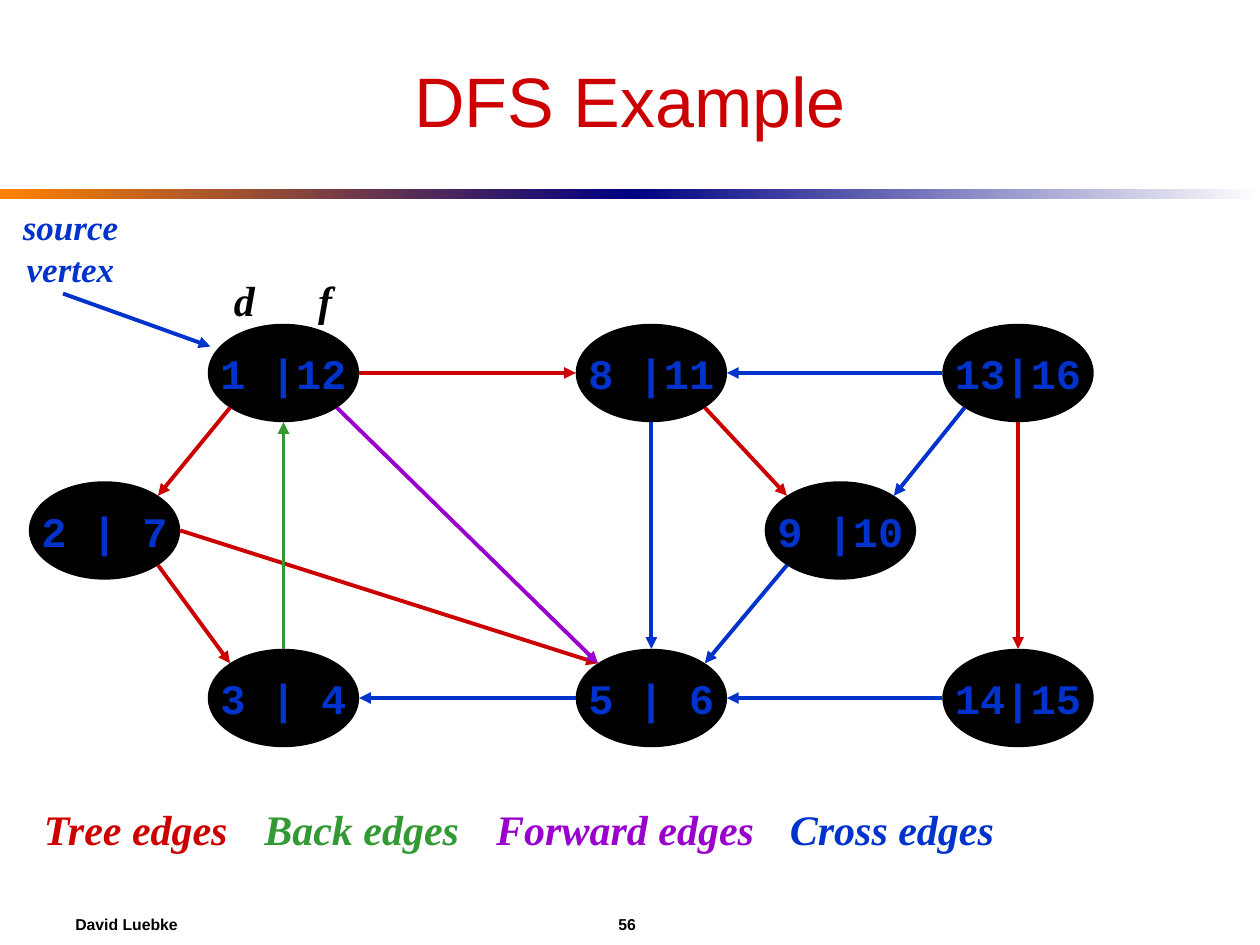
from dataclasses import dataclass
from math import sqrt

from lxml.etree import SubElement
from pptx import Presentation
from pptx.dml.color import RGBColor
from pptx.enum.shapes import MSO_CONNECTOR as Connector, MSO_SHAPE as Preset
from pptx.enum.text import MSO_ANCHOR as Anchor, MSO_AUTO_SIZE as AutoSize, PP_ALIGN as Align
from pptx.oxml.ns import qn
from pptx.slide import Slide
from pptx.text.text import TextFrame
from pptx.util import Inches, Pt

BLACK = RGBColor(0x00, 0x00, 0x00)
WHITE = RGBColor(0xFF, 0xFF, 0xFF)
ORANGE = RGBColor(0xFF, 0x82, 0x00)
NAVY = RGBColor(0x00, 0x00, 0x82)
RED = RGBColor(0xCC, 0x00, 0x00)
GREEN = RGBColor(0x33, 0x99, 0x33)
PURPLE = RGBColor(0x99, 0x00, 0xCC)
BLUE = RGBColor(0x00, 0x33, 0xCC)

NODE_WIDTH, NODE_HEIGHT = 1.17, 0.75
REACH_X, REACH_Y = 0.6, 0.39
DIAGONAL = 1 / sqrt(2)
PORTS = {
    "left": (-1, 0), "right": (1, 0), "top": (0, -1), "bottom": (0, 1),
    "top left": (-DIAGONAL, -DIAGONAL), "top right": (DIAGONAL, -DIAGONAL),
    "bottom left": (-DIAGONAL, DIAGONAL), "bottom right": (DIAGONAL, DIAGONAL),
}


@dataclass(frozen=True)
class Style:
    font: str
    size: int
    color: RGBColor
    bold: bool = True
    italic: bool = False


@dataclass(frozen=True)
class Vertex:
    times: str
    x: float
    y: float

    def port(self, side: str) -> tuple[float, float]:
        across, down = PORTS[side]
        return self.x + across * REACH_X, self.y + down * REACH_Y


@dataclass(frozen=True)
class Edge:
    start: Vertex
    start_side: str
    end: Vertex
    end_side: str
    color: RGBColor


@dataclass(frozen=True)
class Label:
    lines: tuple[str, ...]
    left: float
    top: float
    width: float
    height: float
    style: Style
    align: Align = Align.LEFT
    anchor: Anchor = Anchor.TOP


def serif(size: int, color: RGBColor) -> Style:
    return Style("Times New Roman", size, color, italic=True)


TITLE_STYLE = Style("Arial", 40, RED, bold=False)
FOOTER_STYLE = Style("Arial", 9, BLACK)
TIMES_STYLE = Style("Courier New", 24, BLUE)

FIRST = Vertex("1 |12", 2.25, 2.96)
EIGHTH = Vertex("8 |11", 5.17, 2.96)
LATER = Vertex("13|16", 8.08, 2.96)
LAST = Vertex("14|15", 8.08, 5.54)
FIFTH = Vertex("5 | 6", 5.17, 5.54)
THIRD = Vertex("3 | 4", 2.25, 5.54)
SECOND = Vertex("2 | 7", 0.83, 4.21)
NINTH = Vertex("9 |10", 6.67, 4.21)
VERTICES = (FIRST, EIGHTH, LATER, LAST, FIFTH, THIRD, SECOND, NINTH)

EDGES = (
    Edge(FIRST, "bottom left", SECOND, "top right", RED),
    Edge(SECOND, "bottom right", THIRD, "top left", RED),
    Edge(SECOND, "right", FIFTH, "top left", RED),
    Edge(FIFTH, "left", THIRD, "right", BLUE),
    Edge(THIRD, "top", FIRST, "bottom", GREEN),
    Edge(EIGHTH, "bottom", FIFTH, "top", BLUE),
    Edge(FIRST, "right", EIGHTH, "left", RED),
    Edge(LATER, "left", EIGHTH, "right", BLUE),
    Edge(EIGHTH, "bottom right", NINTH, "top left", RED),
    Edge(LATER, "bottom left", NINTH, "top right", BLUE),
    Edge(LATER, "bottom", LAST, "top", RED),
    Edge(LAST, "left", FIFTH, "right", BLUE),
    Edge(NINTH, "bottom left", FIFTH, "top right", BLUE),
    Edge(FIRST, "bottom right", FIFTH, "top left", PURPLE),
)

LABELS = (
    Label(("David Luebke",), 0.5, 7.17, 1.2, 0.33, FOOTER_STYLE, anchor=Anchor.MIDDLE),
    Label(("56",), 4.81, 7.17, 0.34, 0.33, FOOTER_STYLE, anchor=Anchor.MIDDLE),
    Label(("source", "vertex"), 0.08, 1.58, 0.96, 0.77, serif(20, BLUE), Align.CENTER),
    Label(("d",), 1.74, 2, 0.4, 0.75, serif(24, BLACK), Align.CENTER, Anchor.MIDDLE),
    Label(("f",), 2.38, 2, 0.4, 0.75, serif(24, BLACK), Align.CENTER, Anchor.MIDDLE),
    Label(("Tree edges",), 0.25, 6.33, 1.67, 0.5, serif(24, RED)),
    Label(("Back edges",), 2, 6.33, 1.74, 0.5, serif(24, GREEN)),
    Label(("Forward edges",), 3.84, 6.33, 2.24, 0.5, serif(24, PURPLE)),
    Label(("Cross edges",), 6.17, 6.33, 1.82, 0.5, serif(24, BLUE)),
)


def write(frame: TextFrame, lines: tuple[str, ...], style: Style, align: Align,
          anchor: Anchor = Anchor.MIDDLE, wrap: bool = False) -> None:
    frame.auto_size = AutoSize.NONE
    frame.word_wrap = wrap
    frame.vertical_anchor = anchor
    para = frame.paragraphs[0]
    para.alignment = align
    for index, line in enumerate(lines):
        if index:
            para.add_line_break()
        span = para.add_run()
        span.text = line
        span.font.name = style.font
        span.font.size = Pt(style.size)
        span.font.bold = style.bold
        span.font.italic = style.italic
        span.font.color.rgb = style.color


def draw_band(page: Slide, left: float, colors: tuple[RGBColor, RGBColor]) -> None:
    band = page.shapes.add_shape(
        Preset.RECTANGLE, Inches(left), Inches(1.5), Inches(5), Inches(0.08))
    band.shadow.inherit = False
    band.line.fill.background()
    band.fill.gradient()
    band.fill.gradient_angle = 0
    for stop, color in zip(band.fill.gradient_stops, colors):
        stop.color.rgb = color


def draw_vertex(page: Slide, vertex: Vertex) -> None:
    oval = page.shapes.add_shape(
        Preset.OVAL, Inches(vertex.x - NODE_WIDTH / 2), Inches(vertex.y - NODE_HEIGHT / 2),
        Inches(NODE_WIDTH), Inches(NODE_HEIGHT))
    oval.shadow.inherit = False
    oval.fill.solid()
    oval.fill.fore_color.rgb = BLACK
    oval.line.color.rgb = BLACK
    oval.line.width = Pt(2.25)
    write(oval.text_frame, (vertex.times,), TIMES_STYLE, Align.CENTER)


def draw_arrow(page: Slide, start: tuple[float, float], end: tuple[float, float],
               color: RGBColor) -> None:
    arrow = page.shapes.add_connector(
        Connector.STRAIGHT, *(Inches(value) for value in (*start, *end)))
    arrow.line.color.rgb = color
    arrow.line.width = Pt(2.25)
    SubElement(arrow.line._get_or_add_ln(), qn("a:tailEnd"), type="triangle")
    SubElement(arrow._element.spPr, qn("a:effectLst"))


def draw_label(page: Slide, label: Label) -> None:
    box = page.shapes.add_textbox(
        Inches(label.left), Inches(label.top), Inches(label.width), Inches(label.height))
    write(box.text_frame, label.lines, label.style, label.align, label.anchor)


def main() -> None:
    deck = Presentation()
    deck.slide_width, deck.slide_height = Inches(10), Inches(7.5)
    page = deck.slides.add_slide(deck.slide_layouts[5])
    draw_band(page, 0, (ORANGE, NAVY))
    draw_band(page, 5, (NAVY, WHITE))
    title = page.shapes.title
    title.left, title.top = Inches(0.5), Inches(0.25)
    title.width, title.height = Inches(9), Inches(1.08)
    write(title.text_frame, ("DFS Example",), TITLE_STYLE, Align.CENTER, wrap=True)
    for vertex in VERTICES:
        draw_vertex(page, vertex)
    for edge in EDGES:
        draw_arrow(page, edge.start.port(edge.start_side), edge.end.port(edge.end_side),
                   edge.color)
    draw_arrow(page, (0.5, 2.33), (1.67, 2.75), BLUE)
    for label in LABELS:
        draw_label(page, label)
    deck.save("out.pptx")


if __name__ == "__main__":
    main()
